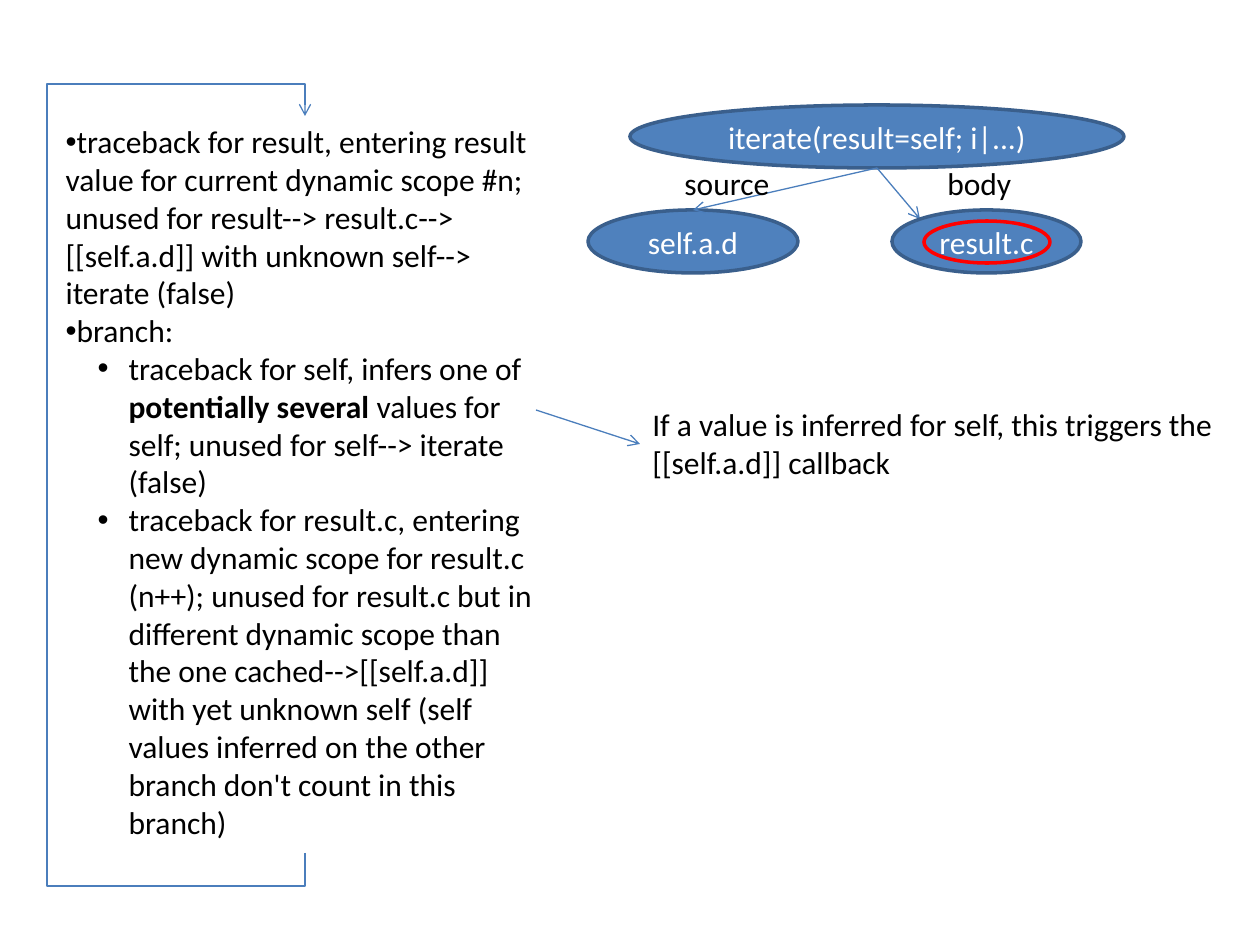
from dataclasses import dataclass

from pptx import Presentation
from pptx import util as u
from pptx.dml.color import RGBColor
from pptx.enum import shapes, text
from pptx.oxml import xmlchemy


@dataclass(frozen=True)
class Theme:
    font: str = "Calibri"
    size: int = 18
    node_fill: str = "4F81BD"
    node_line: str = "3A5F8C"
    arrow: str = "4B7EBC"
    mark: str = "FF0000"
    ink: str = "000000"
    light: str = "FFFFFF"
    thick: float = 2
    thin: float = 0.75


def px(n):
    return u.Emu(round(n * 914400 / 126))


def add_child(parent, tag, **attrs):
    child = xmlchemy.OxmlElement(tag)
    for name, value in attrs.items():
        child.set(name, str(value))
    parent.append(child)


class Canvas:
    def __init__(self, slide, theme):
        self.slide = slide
        self.shapes = slide.shapes
        self.theme = theme

    def add_runs(self, p, runs, color):
        for content, bold in runs:
            r = p.add_run()
            r.text = content
            style = {"name": self.theme.font, "size": u.Pt(self.theme.size), "bold": bold}
            for key, value in style.items():
                setattr(r.font, key, value)
            r.font.color.rgb = RGBColor.from_string(color)

    def stroke(self, sp, color, width, arrow=False):
        sp.line.color.rgb = RGBColor.from_string(color)
        sp.line.width = u.Pt(width)
        if arrow:
            add_child(sp._element.spPr.get_or_add_ln(), "a:tailEnd", type="arrow")

    def ellipse(self, box, label=None):
        t = self.theme
        sp = self.shapes.add_shape(shapes.MSO_SHAPE.OVAL, *map(px, box))
        sp.shadow.inherit = False
        if label is None:
            sp.fill.background()
            self.stroke(sp, t.mark, t.thick)
            return
        sp.fill.solid()
        sp.fill.fore_color.rgb = RGBColor.from_string(t.node_fill)
        self.stroke(sp, t.node_line, t.thick)
        sp.text_frame.vertical_anchor = text.MSO_ANCHOR.MIDDLE
        p = sp.text_frame.paragraphs[0]
        p.alignment = text.PP_ALIGN.CENTER
        self.add_runs(p, [(label, False)], t.light)

    def label(self, box, content, wrap=False):
        tf = self.shapes.add_textbox(*map(px, box)).text_frame
        tf.word_wrap = wrap
        tf.auto_size = text.MSO_AUTO_SIZE.SHAPE_TO_FIT_TEXT
        self.add_runs(tf.paragraphs[0], [(content, False)], self.theme.ink)

    def arrow(self, start, end):
        line = self.shapes.add_connector(
            shapes.MSO_CONNECTOR.STRAIGHT, *map(px, (*start, *end)))
        self.stroke(line, self.theme.arrow, self.theme.thin, True)
        add_child(line._element.spPr, "a:effectLst")

    def loop(self, points):
        start, *rest = [tuple(map(px, point)) for point in points]
        builder = self.shapes.build_freeform(*start)
        builder.add_line_segments(rest, close=False)
        sp = builder.convert_to_shape()
        sp.shadow.inherit = False
        sp.fill.background()
        self.stroke(sp, self.theme.arrow, self.theme.thin, True)

    def bullets(self, box, items):
        body = self.slide.placeholders[1]
        for name, value in zip(("left", "top", "width", "height"), box):
            setattr(body, name, px(value))
        tf = body.text_frame
        tf.word_wrap = True
        tf.auto_size = text.MSO_AUTO_SIZE.SHAPE_TO_FIT_TEXT
        for i, (level, runs) in enumerate(items):
            p = tf.add_paragraph() if i else tf.paragraphs[0]
            style = {"level": level, "space_before": u.Pt(0), "space_after": u.Pt(0)}
            for key, value in style.items():
                setattr(p, key, value)
            pPr = p._p.get_or_add_pPr()
            pPr.set("marL", str(px(63 * level)))
            pPr.set("indent", str(px(-31 * level)))
            add_child(pPr, "a:buFont", typeface="Arial")
            add_child(pPr, "a:buChar", char="•")
            self.add_runs(p, runs, self.theme.ink)


prs = Presentation()
prs.slide_width, prs.slide_height = px(1260), px(945)
slide = prs.slides.add_slide(prs.slide_layouts[1])
title = slide.shapes.title._element
title.getparent().remove(title)
canvas = Canvas(slide, Theme())

canvas.ellipse((630, 105, 494, 63), "iterate(result=self; i|...)")
canvas.ellipse((588, 210, 210, 63), "self.a.d")
for child_top in ((920, 219), (693, 210)):
    canvas.arrow((877, 168), child_top)
canvas.label((672, 158, 111, 50), "source")
canvas.label((935, 158, 91, 50), "body")
canvas.ellipse((892, 210, 189, 63), "result.c")

canvas.bullets((53, 116, 504, 738), [
    (0, [("traceback for result, entering result value for current dynamic scope #n; "
          "unused for result--> result.c--> [[self.a.d]] with unknown self--> "
          "iterate (false)", False)]),
    (0, [("branch:", False)]),
    (1, [("traceback for self, infers one of ", False),
         ("potentially several ", True),
         ("values for self; unused for self--> iterate (false)", False)]),
    (1, [("traceback for result.c, entering new dynamic scope for result.c (n++); "
          "unused for result.c but in different dynamic scope than the one "
          "cached-->[[self.a.d]] with yet unknown self (self values inferred on the "
          "other branch don't count in this branch)", False)]),
])

canvas.ellipse((924, 221, 126, 42))
canvas.arrow((536, 410), (640, 444))
canvas.label((640, 399, 620, 89),
             "If a value is inferred for self, this triggers the [[self.a.d]] callback",
             wrap=True)
canvas.loop([(305, 853), (305, 886), (47, 886), (47, 84), (305, 84), (305, 116)])

prs.save("out.pptx")
